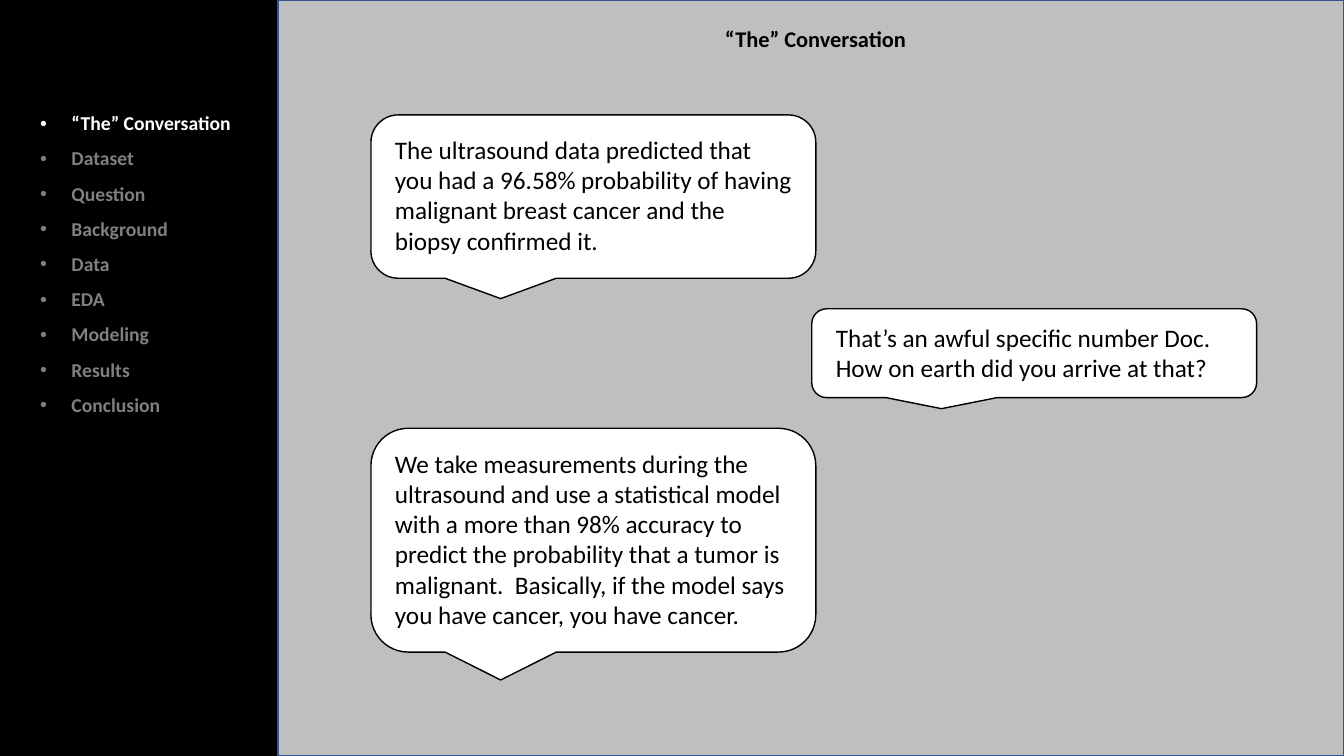
from dataclasses import dataclass

from lxml import etree
from pptx import Presentation, util as u
from pptx.dml.color import RGBColor
from pptx.enum import shapes, text
from pptx.oxml.ns import qn


@dataclass(frozen=True)
class Theme:
    font: str = "Calibri"
    backdrop: str = "000000"
    panel: str = "BFBFBF"
    panel_edge: str = "325491"
    bubble: str = "FFFFFF"
    ink: str = "000000"
    current: str = "FFFFFF"
    muted: str = "808080"
    title_size: int = 16
    agenda_size: int = 14
    speech_size: int = 18


THEME = Theme()
WIDTH, HEIGHT = u.Inches(13.33), u.Inches(7.5)

TOPIC = "“The” Conversation"
AGENDA = [TOPIC, "Dataset", "Question", "Background", "Data", "EDA",
          "Modeling", "Results", "Conclusion"]

# Speech bubbles stack downwards with an equal gap (percent of the slide)
DOCTOR_LEFT, PATIENT_LEFT = 27.6, 60.4
BUBBLE_WIDTH, SPEECH_WIDTH, SPEECH_INSET = 33.1, 31.2, 1.05
FIRST_TOP, BUBBLE_GAP = 15.2, 4.05
# left, bubble height, speech offset, speech height, words
SPEECHES = [
    (DOCTOR_LEFT, 21.6, 1.9, 21.6,
     "The ultrasound data predicted that you had a 96.58% probability of "
     "having malignant breast cancer and the biopsy confirmed it."),
    (PATIENT_LEFT, 11.75, 1.1, 9.45,
     "That’s an awful specific number Doc.  How on earth did you arrive "
     "at that?"),
    (DOCTOR_LEFT, 29.6, 1.95, 29.6,
     "We take measurements during the ultrasound and use a statistical "
     "model with a more than 98% accuracy to predict the probability that "
     "a tumor is malignant.  Basically, if the model says you have cancer, "
     "you have cancer."),
]


def area(left, top, width, height):
    """Turn percentages of the slide into a position and size."""
    return [u.Emu(int(share * side / 100)) for share, side in
            zip((left, top, width, height), (WIDTH, HEIGHT) * 2)]


def apply(target, formats):
    for name, value in formats.items():
        setattr(target, name, value)


def write(paragraph, words, size, color, bold=False, **formats):
    run = paragraph.add_run()
    run.text = words
    apply(run.font, {"name": THEME.font, "size": u.Pt(size), "bold": bold})
    run.font.color.rgb = RGBColor.from_string(color)
    apply(paragraph, formats)


def prepare_frame(shape):
    apply(shape.text_frame, {"word_wrap": True,
                             "auto_size": text.MSO_AUTO_SIZE.NONE,
                             "vertical_anchor": text.MSO_ANCHOR.TOP})
    return shape.text_frame


def add_filled(parent, kind, place, fill, edge):
    shape = parent.add_shape(kind, *place)
    shape.shadow.inherit = False
    shape.fill.solid()
    shape.fill.fore_color.rgb = RGBColor.from_string(fill)
    shape.line.color.rgb = RGBColor.from_string(edge)
    shape.line.width = u.Pt(1)


def add_bullet(paragraph):
    properties = paragraph._p.get_or_add_pPr()
    indent = u.Inches(0.31)
    properties.set("marL", str(indent))
    properties.set("indent", str(-indent))
    etree.SubElement(properties, qn("a:buFont")).set("typeface", "Arial")
    etree.SubElement(properties, qn("a:buChar")).set("char", "•")


def add_agenda(slide):
    frame = prepare_frame(slide.shapes.add_textbox(*area(2.25, 14.4, 17.4, 55.6)))
    for index, entry in enumerate(AGENDA):
        paragraph = frame.add_paragraph() if index else frame.paragraphs[0]
        color = THEME.current if entry == TOPIC else THEME.muted
        write(paragraph, entry, THEME.agenda_size, color, bold=True,
              line_spacing=0.9, space_before=u.Pt(10))
        add_bullet(paragraph)


def set_title(slide):
    title = slide.shapes.title
    apply(title, dict(zip(("left", "top", "width", "height"),
                          area(23.2, 2.65, 74.95, 4.95))))
    write(prepare_frame(title).paragraphs[0], TOPIC, THEME.title_size,
          THEME.ink, bold=True, alignment=text.PP_ALIGN.CENTER)
    # Bring the title in front of the panel
    title.element.getparent().append(title.element)


def add_bubble(slide, left, top, height, offset, speech_height, words):
    bubble = slide.shapes.add_group_shape().shapes
    add_filled(bubble, shapes.MSO_SHAPE.ROUNDED_RECTANGULAR_CALLOUT,
               area(left, top, BUBBLE_WIDTH, height), THEME.bubble, THEME.ink)
    speech = bubble.add_textbox(*area(left + SPEECH_INSET, top + offset,
                                      SPEECH_WIDTH, speech_height))
    write(prepare_frame(speech).paragraphs[0], words, THEME.speech_size,
          THEME.ink)


def main():
    deck = Presentation()
    apply(deck, {"slide_width": WIDTH, "slide_height": HEIGHT})
    slide = deck.slides.add_slide(deck.slide_layouts.get_by_name("Title Only"))

    # Backdrop, content panel and sidebar
    slide.background.fill.solid()
    slide.background.fill.fore_color.rgb = RGBColor.from_string(THEME.backdrop)
    add_filled(slide.shapes, shapes.MSO_SHAPE.RECTANGLE,
               area(20.7, 0, 79.3, 100), THEME.panel, THEME.panel_edge)
    add_agenda(slide)
    set_title(slide)

    # Dialogue between doctor and patient
    top = FIRST_TOP
    for left, height, offset, speech_height, words in SPEECHES:
        add_bubble(slide, left, top, height, offset, speech_height, words)
        top += height + BUBBLE_GAP

    deck.save("out.pptx")


main()
